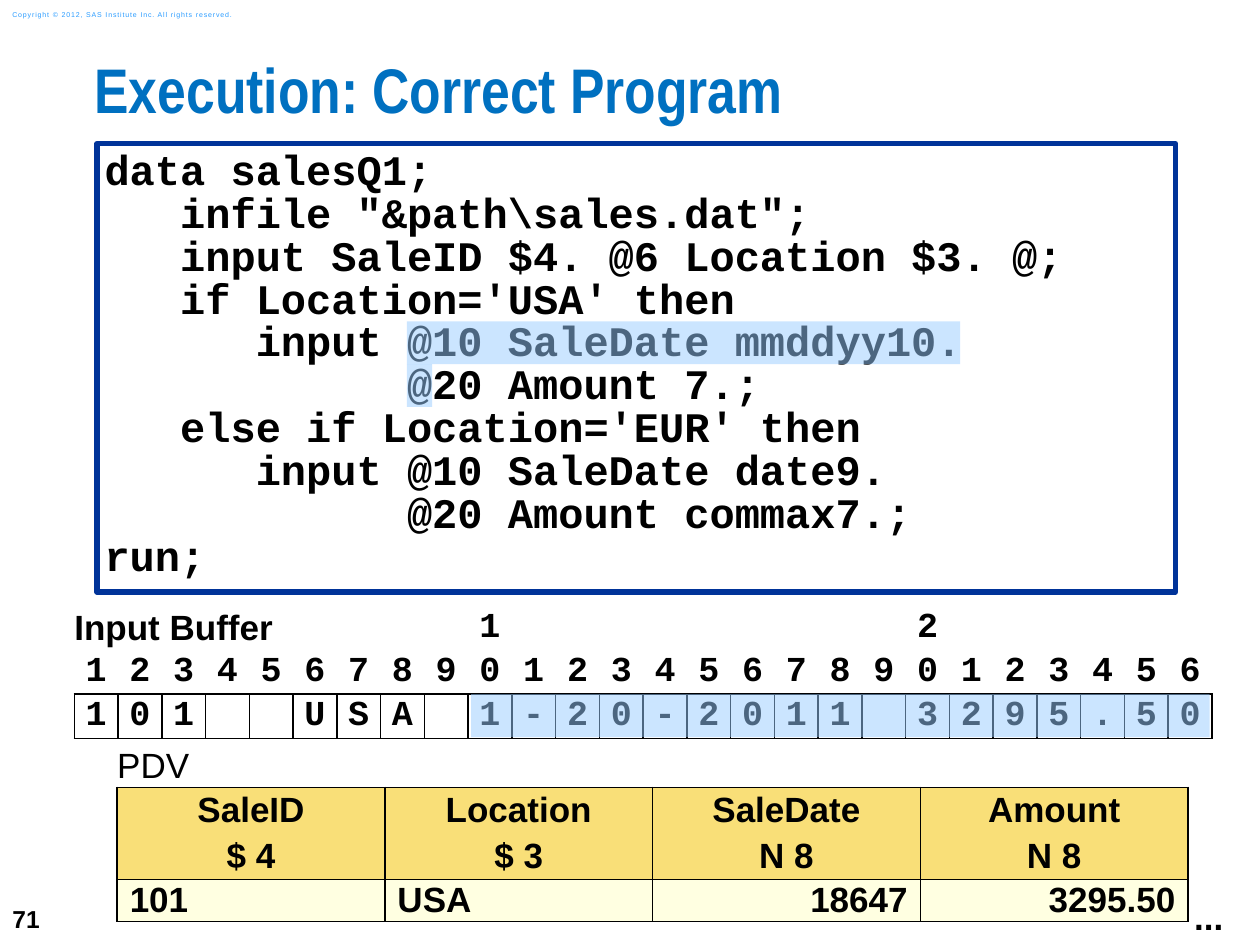
import pptx
import pptx.util
import pptx.dml.color
import pptx.enum.text
import pptx.enum.shapes
import pptx.oxml
import pptx.oxml.ns

Inches, Pt = pptx.util.Inches, pptx.util.Pt
ALIGN = pptx.enum.text.PP_ALIGN
ANCHOR = pptx.enum.text.MSO_ANCHOR
RECT = pptx.enum.shapes.MSO_SHAPE.RECTANGLE

COLORS = {"black": "000000", "white": "FFFFFF", "title": "0070C0", "frame": "003399",
          "copyright": "2A9CFF", "highlight": "99CCFF", "header": "F9DF78", "value": "FFFFE1"}
PLAIN_TABLE = "{2D5ABB26-0587-4C30-8999-92F81FD0307C}"

TITLE = "Execution: Correct Program"
COPYRIGHT = "Copyright © 2012, SAS Institute Inc. All rights reserved."
CODE = r"""data salesQ1;
   infile "&path\sales.dat";
   input SaleID $4. @6 Location $3. @;
   if Location='USA' then
      input @10 SaleDate mmddyy10.
            @20 Amount 7.;
   else if Location='EUR' then
      input @10 SaleDate date9.
            @20 Amount commax7.;
run;"""
BUFFER = "101  USA 1-20-2011 3295.50"
PDV = [("SaleID", "$ 4", "101", ALIGN.LEFT), ("Location", "$ 3", "USA", ALIGN.LEFT),
       ("SaleDate", "N 8", "18647", ALIGN.RIGHT), ("Amount", "N 8", "3295.50", ALIGN.RIGHT)]
PDV_ROWS = [0.34, 0.73, 0.33]
HIGHLIGHTS = [(3.23, 2.89, 0.2, 0.34), (3.23, 2.55, 4.39, 0.34), (3.74, 5.51, 5.86, 0.34)]


def rgb(name):
    return pptx.dml.color.RGBColor.from_string(COLORS[name])


def write(tf, text, size, font="Arial", color="black", bold=True, align=ALIGN.LEFT,
          line=None, gap=0):
    tf.text = text
    for i, p in enumerate(tf.paragraphs):
        p.alignment = align
        p.space_before = Pt(gap if i else 0)
        if line:
            p.line_spacing = line
        for r in p.runs:
            r.font.size, r.font.name, r.font.bold = Pt(size), font, bold
            r.font.color.rgb = rgb(color)


def set_margins(target, x, y):
    target.margin_left = target.margin_right = Inches(x)
    target.margin_top = target.margin_bottom = Inches(y)


def add_text(s, box, text, size, wrap=False, anchor=ANCHOR.TOP, **style):
    tf = s.shapes.add_textbox(*map(Inches, box)).text_frame
    tf.word_wrap, tf.vertical_anchor = wrap, anchor
    write(tf, text, size, **style)
    return tf


def add_rect(s, box, fill):
    sp = s.shapes.add_shape(RECT, *map(Inches, box))
    sp.shadow.inherit = False
    sp.fill.solid()
    sp.fill.fore_color.rgb = rgb(fill)
    return sp


def add_table(s, box, rows, cols):
    table = s.shapes.add_table(rows, cols, *map(Inches, box)).table
    table.first_row = table.horz_banding = False
    table._tbl.tblPr.find(pptx.oxml.ns.qn("a:tableStyleId")).text = PLAIN_TABLE
    for column in table.columns:
        column.width = Inches(box[2] / cols)
    return table


def format_cell(cell, text="", fill=None, sides="", margin=0, **style):
    set_margins(cell, margin, 0)
    cell.vertical_anchor = ANCHOR.MIDDLE
    write(cell.text_frame, text, 20, **style)
    if fill:
        cell.fill.solid()
        cell.fill.fore_color.rgb = rgb(fill)
    else:
        cell.fill.background()
    for i, side in enumerate(sides):
        border = pptx.oxml.parse_xml(
            f'<a:ln{side} {pptx.oxml.ns.nsdecls("a")} w="12700"><a:solidFill>'
            f'<a:srgbClr val="{COLORS["black"]}"/></a:solidFill></a:ln{side}>')
        cell._tc.get_or_add_tcPr().insert(i, border)


def add_buffer(s):
    count = len(BUFFER)
    table = add_table(s, (0.59, 4.81, 9.03, 1.05), 3, count)
    for row in table.rows:
        row.height = Inches(0.35)
    table.cell(0, 0).merge(table.cell(0, 8))
    mono = {"font": "Courier New", "align": ALIGN.CENTER}
    for c in range(count):
        tens, units = divmod(c + 1, 10)
        format_cell(table.cell(0, c), str(tens) if units == 0 else "", **mono)
        format_cell(table.cell(1, c), str(units), sides="B", **mono)
        format_cell(table.cell(2, c), BUFFER[c].strip(), sides="LRTB", **mono)
    write(table.cell(0, 0).text_frame, "Input Buffer", 20)


def add_pdv(s):
    table = add_table(s, (0.93, 5.91, 8.5, sum(PDV_ROWS)), 3, len(PDV))
    for row, height in zip(table.rows, PDV_ROWS):
        row.height = Inches(height)
    table.cell(0, 0).merge(table.cell(0, len(PDV) - 1))
    for c, (name, kind, value, align) in enumerate(PDV):
        format_cell(table.cell(0, c), "" if c else "PDV", "white", "B", bold=False)
        format_cell(table.cell(1, c), f"{name}\n{kind}", "header", "LRTB", 0.1,
                    align=ALIGN.CENTER, gap=4)
        format_cell(table.cell(2, c), value, "value", "LRTB", 0.1, align=align)


def main():
    prs = pptx.Presentation()
    prs.slide_width, prs.slide_height = Inches(10), Inches(7.5)
    s = prs.slides.add_slide(prs.slide_layouts[5])

    title = s.shapes.title
    title.left, title.top, title.width, title.height = map(Inches, (0.75, 0.5, 9.25, 0.74))
    tf = title.text_frame
    set_margins(tf, 0, 0)
    tf.vertical_anchor = ANCHOR.TOP
    tf.auto_size = pptx.enum.text.MSO_AUTO_SIZE.NONE
    write(tf, TITLE, 36, "Arial Narrow", "title", line=0.83)

    add_text(s, (0, 7.08, 0.58, 0.42), "71", 14, anchor=ANCHOR.MIDDLE)
    tf = add_text(s, (0, 0.03, 2.11, 0.17), COPYRIGHT, 4, wrap=True, anchor=ANCHOR.MIDDLE,
                  color="copyright", bold=False)
    tf.paragraphs[0].runs[0].font._element.set("spc", "50")

    sp = add_rect(s, (0.77, 1.14, 8.56, 3.56), "white")
    sp.line.color.rgb, sp.line.width = rgb("frame"), Pt(3)
    tf = sp.text_frame
    tf.word_wrap, tf.vertical_anchor = True, ANCHOR.TOP
    set_margins(tf, 0.06, 0.06)
    write(tf, CODE, 24, "Courier New", line=0.85)

    add_buffer(s)
    add_pdv(s)
    add_text(s, (9.38, 7.06, 0.43, 0.44), "...", 20)

    for box in HIGHLIGHTS:
        sp = add_rect(s, box, "highlight")
        sp.line.fill.background()
        color = sp._element.spPr.find(".//" + pptx.oxml.ns.qn("a:srgbClr"))
        color.append(pptx.oxml.parse_xml(
            f'<a:alpha {pptx.oxml.ns.nsdecls("a")} val="50000"/>'))

    prs.save("out.pptx")


if __name__ == "__main__":
    main()
